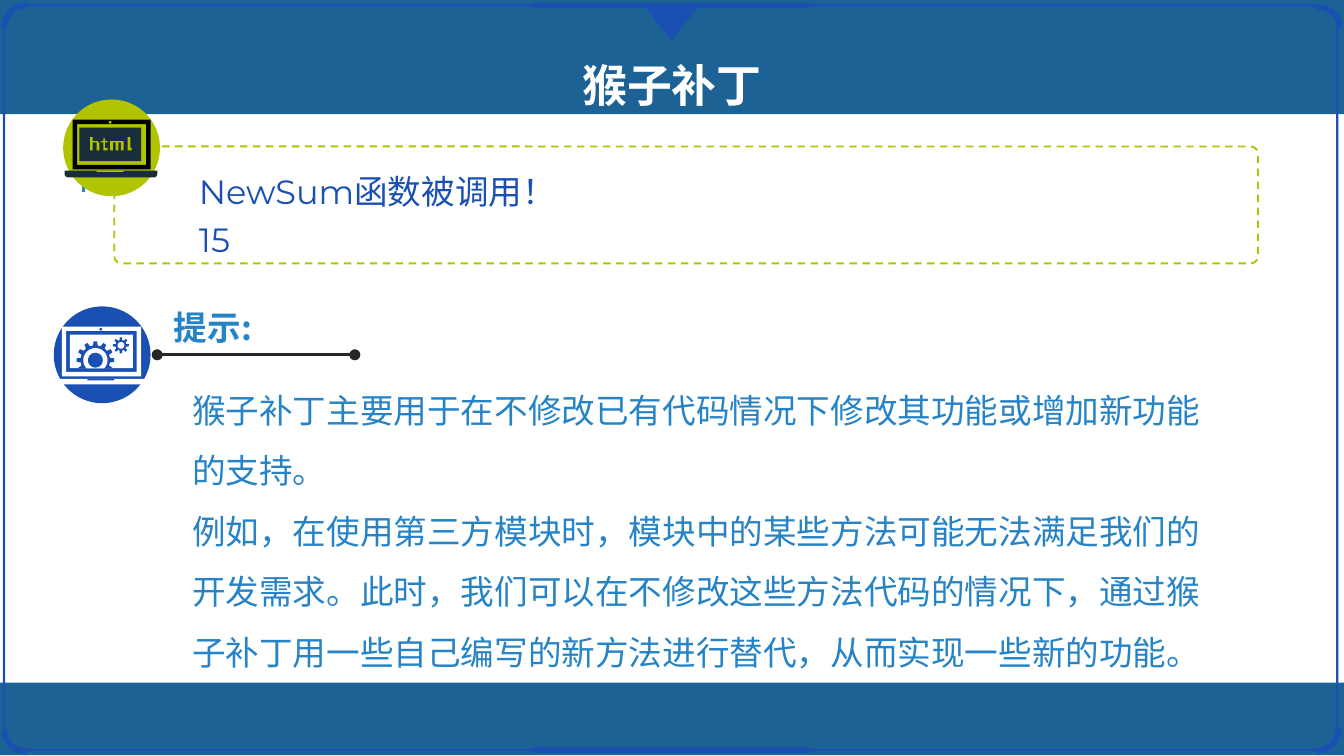
from dataclasses import dataclass
from math import cos, pi, sin

from lxml import etree
from pptx import Presentation
from pptx.dml.color import RGBColor
from pptx.enum.dml import MSO_LINE
from pptx.enum.shapes import MSO_CONNECTOR, MSO_SHAPE
from pptx.enum.text import MSO_ANCHOR, MSO_AUTO_SIZE, PP_ALIGN
from pptx.oxml.ns import qn
from pptx.util import Emu, Pt

RECT, ROUND, OVAL = MSO_SHAPE.RECTANGLE, MSO_SHAPE.ROUNDED_RECTANGLE, MSO_SHAPE.OVAL
ARC, FRAME, BASE = MSO_SHAPE.ARC, MSO_SHAPE.FRAME, MSO_SHAPE.ROUND_2_SAME_RECTANGLE
TRI = MSO_SHAPE.ISOSCELES_TRIANGLE
STRAIGHT, DASH = MSO_CONNECTOR.STRAIGHT, MSO_LINE.DASH
LEFT, MID = PP_ALIGN.LEFT, PP_ALIGN.CENTER
TOP, GROW = MSO_ANCHOR.TOP, MSO_AUTO_SIZE.SHAPE_TO_FIT_TEXT

SCALE = 9144  # EMU in one px, 100 px to the inch
WIDE = 1000
SANS, HAN = "Montserrat", "Noto Sans CJK SC"
COLORS = {
    "band": "1D6294", "blue": "1950B2", "sky": "2683C6", "lime": "B1C400",
    "navy": "1A2D3A", "ink": "262626", "black": "000000", "white": "FFFFFF",
}


@dataclass
class Box:
    left: int
    top: int
    width: int
    height: int


@dataclass
class Style:
    size: int
    color: str
    font: str = SANS
    bold: bool = False
    align: PP_ALIGN = LEFT
    space: float = 1.0
    indent: int = 0


@dataclass
class Laptop:
    disc: Box
    lid: Box
    screen: Box
    base: Box
    back: str
    case: str
    fill: str
    foot: str


@dataclass
class Gear:
    x: int
    y: int
    tip: int
    root: int
    teeth: int
    floor: int


LAPTOPS = [
    Laptop(Box(47, 74, 72, 72), Box(54, 89, 58, 37), Box(59, 95, 46, 25),
           Box(48, 127, 69, 5), "lime", "black", "navy", "navy"),
    Laptop(Box(40, 228, 72, 72), Box(46, 243, 59, 37), Box(52, 249, 47, 25),
           Box(40, 282, 70, 4), "blue", "white", "white", "white"),
]
COG = Gear(71, 268, 14, 11, 12, 274)
WHEEL = Gear(90, 257, 6, 4, 8, 274)
CORNERS = [(2, 5, 270), (963, 5, 0), (963, 526, 90), (3, 527, 180)]
# The letters h, t, m and l as upright and level strokes
STROKES = [
    Box(67, 102, 2, 10), Box(69, 105, 4, 1), Box(72, 106, 2, 6),
    Box(77, 103, 1, 9), Box(75, 105, 2, 1), Box(78, 105, 2, 1), Box(78, 110, 2, 2),
    Box(82, 105, 10, 1), Box(82, 106, 2, 6), Box(86, 106, 2, 6), Box(90, 106, 2, 6),
    Box(95, 102, 2, 10), Box(97, 110, 1, 2),
]


def rgb(name: str) -> RGBColor:
    return RGBColor.from_string(COLORS[name])


def px(value: float) -> Emu:
    return Emu(round(value * SCALE))


def place(shape, box: Box) -> None:
    shape.left, shape.top = px(box.left), px(box.top)
    shape.width, shape.height = px(box.width), px(box.height)


def paint(shape, fill: str = "", line: str = "", weight: float = 1) -> None:
    shape.shadow.inherit = False
    if fill:
        shape.fill.solid()
        shape.fill.fore_color.rgb = rgb(fill)
    else:
        shape.fill.background()
    if line:
        shape.line.color.rgb = rgb(line)
        shape.line.width = Pt(weight)
    else:
        shape.line.fill.background()


def draw(slide, kind, box: Box, fill: str = "", line: str = "",
         weight: float = 1, turn: int = 0, adjust: float | None = None):
    shape = slide.shapes.add_shape(kind, 0, 0, 0, 0)
    place(shape, box)
    paint(shape, fill, line, weight)
    shape.rotation = turn
    if adjust is not None:
        shape.adjustments[0] = adjust
    return shape


def rule(slide, start: tuple[int, int], end: tuple[int, int], color: str,
         weight: float, dots: bool = False) -> None:
    """Draw a straight line, with round ends if dots is set."""
    line = slide.shapes.add_connector(
        STRAIGHT, *(px(v) for v in (*start, *end)))
    line.line.color.rgb = rgb(color)
    line.line.width = Pt(weight)
    if dots:
        for tag in ("a:headEnd", "a:tailEnd"):
            etree.SubElement(line.line._get_or_add_ln(), qn(tag), type="oval")
    etree.SubElement(line._element.spPr, qn("a:effectLst"))


def write(shape, text: str, style: Style, wrap: bool = True) -> None:
    frame = shape.text_frame
    frame.text = text
    frame.word_wrap, frame.auto_size = wrap, GROW
    frame.vertical_anchor = TOP
    frame.margin_left = frame.margin_right = px(7)
    frame.margin_top = frame.margin_bottom = px(4)
    for para in frame.paragraphs:
        props = para._p.get_or_add_pPr()
        props.set("marL", "0")
        props.set("indent", str(px(style.indent)))
        etree.SubElement(props, qn("a:buNone"))
        para.alignment, para.line_spacing = style.align, style.space
        para.space_before = Pt(0)
        for run in para.runs:
            font = run.font
            font.size, font.bold, font.name = Pt(style.size), style.bold, style.font
            font.color.rgb = rgb(style.color)
            etree.SubElement(run._r.get_or_add_rPr(), qn("a:ea"), typeface=HAN)


def label(slide, box: Box, text: str, style: Style, wrap: bool = True) -> None:
    shape = slide.shapes.add_textbox(0, 0, 0, 0)
    place(shape, box)
    write(shape, text, style, wrap)


def outline(slide, loops: list[list[tuple[float, float]]], fill: str) -> None:
    """Fill one shape made of closed loops."""
    spots = [[(px(x), px(y)) for x, y in loop] for loop in loops]
    pen = slide.shapes.build_freeform(*spots[0][0], scale=1.0)
    for loop in spots:
        if loop is not spots[0]:
            pen.move_to(*loop[0])
        pen.add_line_segments(loop[1:], close=True)
    paint(pen.convert_to_shape(), fill)


def gear(slide, item: Gear, fill: str) -> None:
    step = 2 * pi / item.teeth
    points = []
    for tooth in range(item.teeth):
        for part, reach in ((-0.3, item.root), (-0.18, item.tip),
                            (0.18, item.tip), (0.3, item.root)):
            turn = (tooth + part) * step
            y = min(item.y + reach * sin(turn), item.floor)
            points.append((item.x + reach * cos(turn), y))
    outline(slide, [points], fill)


def disc(slide, item: Gear, reach: float, fill: str) -> None:
    turns = [2 * pi * n / 48 for n in range(48)]
    outline(slide, [[(item.x + reach * cos(t), min(item.y + reach * sin(t), item.floor))
                     for t in turns]], fill)


def corners(box: Box) -> list[tuple[float, float]]:
    right, low = box.left + box.width, box.top + box.height
    return [(box.left, box.top), (right, box.top), (right, low), (box.left, low)]


def laptop(slide, item: Laptop) -> None:
    lid, base = item.lid, item.base
    mid = base.left + base.width // 2
    draw(slide, OVAL, item.disc, item.back)
    draw(slide, FRAME, lid, item.case, adjust=0.09)
    draw(slide, OVAL, Box(mid - 1, lid.top + 1, 2, 2), item.back)
    draw(slide, BASE, base, item.foot, turn=180, adjust=0.5)
    draw(slide, RECT, Box(mid - 10, base.top, 20, 1), item.back)
    draw(slide, RECT, item.screen, item.fill)


def backdrop(slide) -> None:
    rule(slide, (62, 143), (62, 68), "sky", 1.5)
    draw(slide, RECT, Box(0, 508, WIDE, 54), "band")
    draw(slide, RECT, Box(0, -3, WIDE, 88), "band")
    draw(slide, ROUND, Box(3, 4, 992, 554), line="blue", weight=1.25, adjust=0.03)
    for left, top, turn in CORNERS:
        draw(slide, ARC, Box(left, top, 34, 32), line="blue", weight=3, turn=turn)
    for y in (4, 558):
        rule(slide, (396, y), (602, y), "blue", 3)
    draw(slide, TRI, Box(480, 4, 39, 25), "blue", "blue", 1.25, turn=180)


def main() -> None:
    deck = Presentation()
    deck.slide_width, deck.slide_height = px(WIDE), px(WIDE * 9 / 16)
    slide = deck.slides.add_slide(deck.slide_layouts[1])
    title, body = slide.placeholders
    backdrop(slide)

    for holder in (title, body):
        slide.shapes._spTree.append(holder._element)
    place(title, Box(425, 39, 150, 48))
    write(title, "猴子补丁", Style(24, "white", HAN, True, MID), wrap=False)
    place(body, Box(136, 271, 787, 235))
    write(body, "猴子补丁主要用于在不修改已有代码情况下修改其功能或增加新功能的支持。\n"
          "例如，在使用第三方模块时，模块中的某些方法可能无法满足我们的开发需求。"
          "此时，我们可以在不修改这些方法代码的情况下，通过猴子补丁用一些自己编写的"
          "新方法进行替代，从而实现一些新的功能。", Style(18, "sky", space=1.5))

    label(slide, Box(125, 117, 319, 80), "NewSum函数被调用！\n15",
          Style(18, "blue", space=1.2, indent=16))
    border = draw(slide, ROUND, Box(85, 109, 851, 87), line="lime", adjust=0.06)
    border.line.dash_style = DASH
    label(slide, Box(122, 224, 73, 38), "提示:",
          Style(18, "sky", HAN, True, MID), wrap=False)
    rule(slide, (117, 264), (264, 264), "ink", 1.5, dots=True)

    for item in LAPTOPS:
        laptop(slide, item)
    outline(slide, [corners(stroke) for stroke in STROKES], "lime")
    gear(slide, COG, "blue")
    disc(slide, COG, 9, "white")
    disc(slide, COG, 5.5, "blue")
    gear(slide, WHEEL, "blue")
    disc(slide, WHEEL, 2.5, "white")
    deck.save("out.pptx")


if __name__ == "__main__":
    main()
